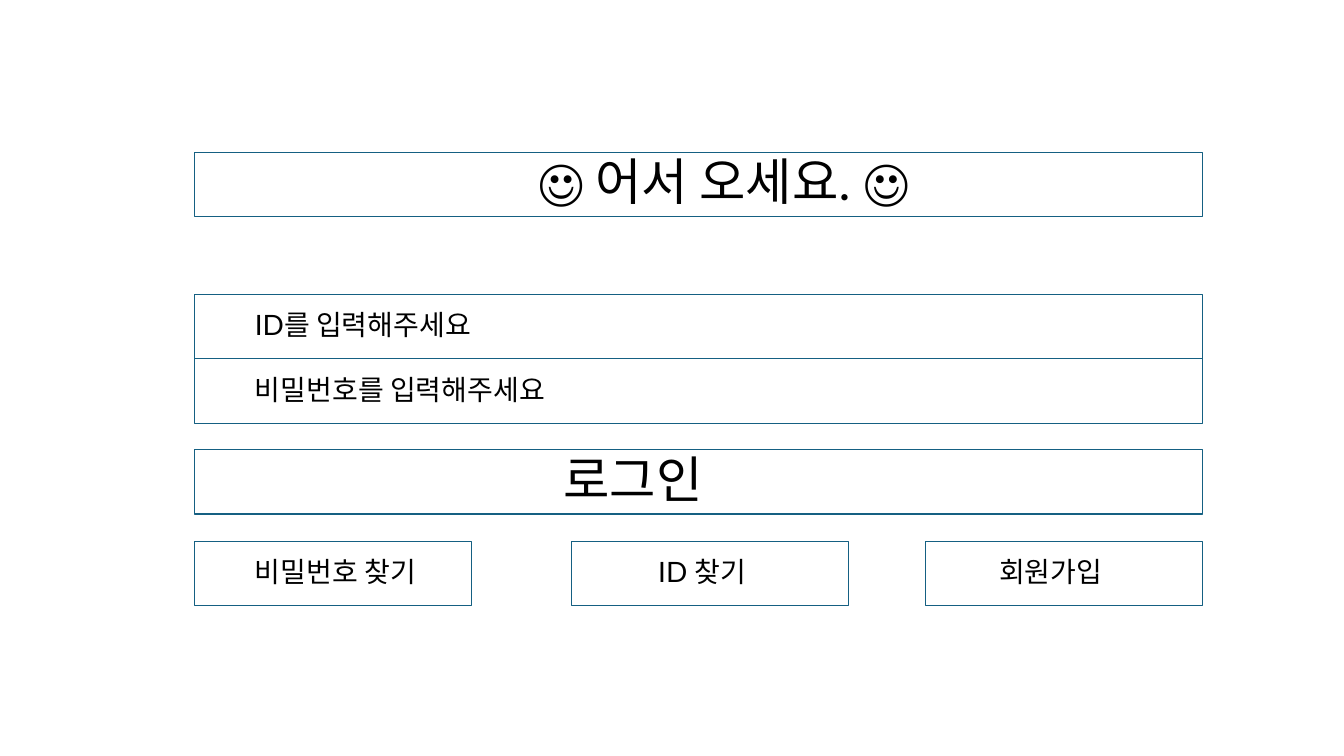
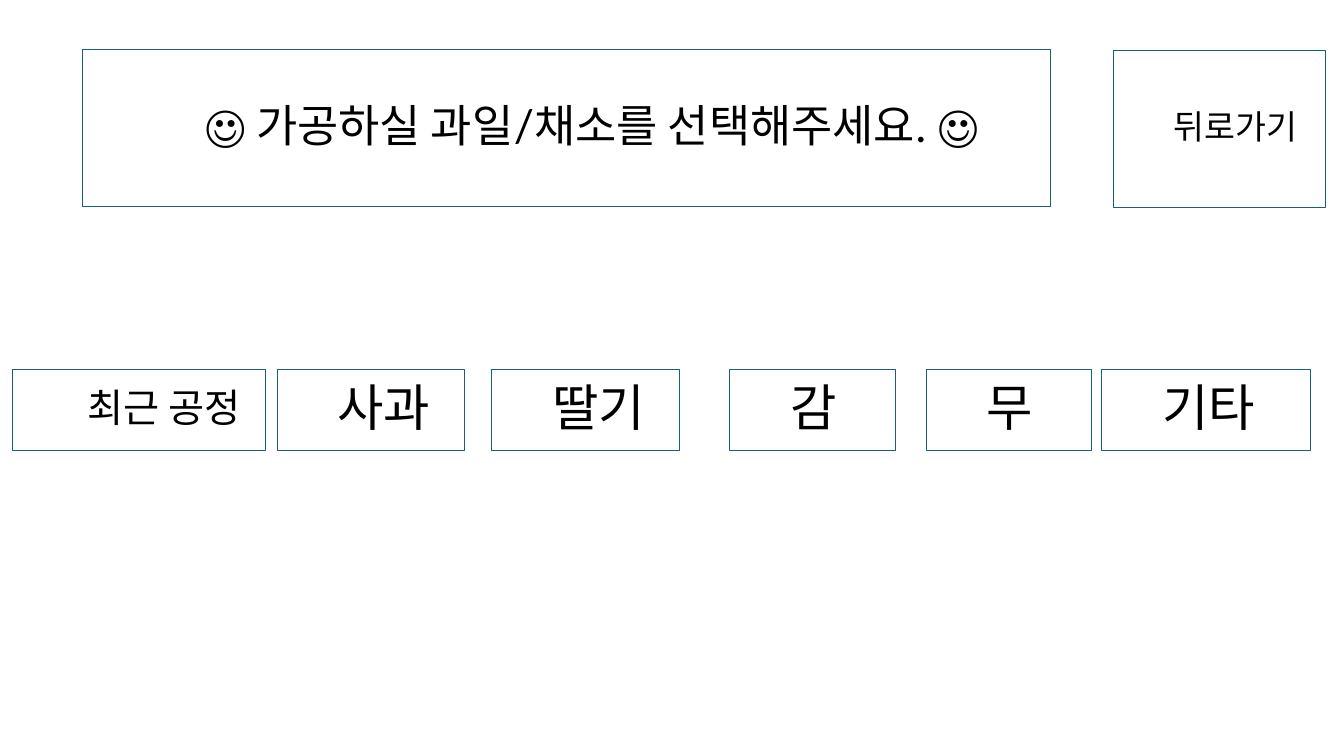
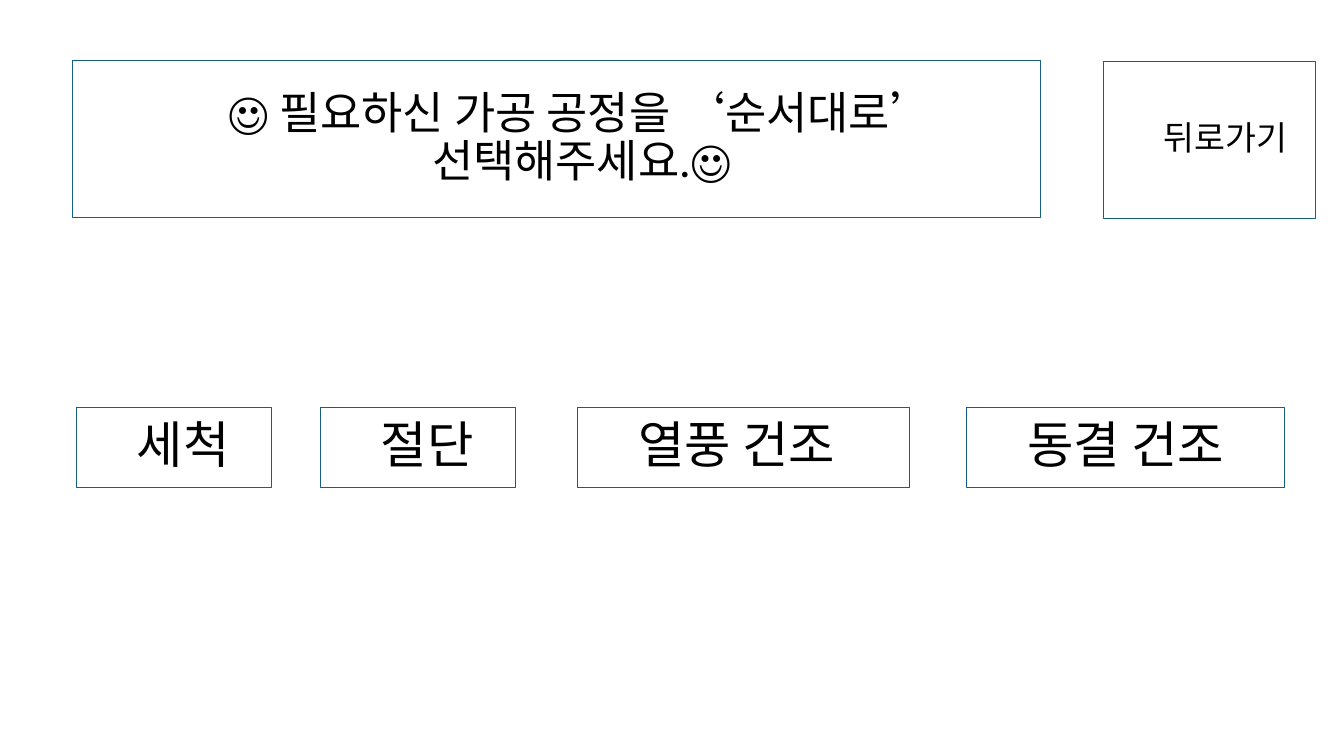
from dataclasses import dataclass

from pptx import Presentation
from pptx.dml.color import RGBColor
from pptx.enum import shapes, text
from pptx.oxml import ns, xmlchemy
from pptx.util import Inches, Pt


@dataclass(frozen=True)
class Theme:
    line: RGBColor = RGBColor(0x15, 0x60, 0x82)
    ink: RGBColor = RGBColor(0, 0, 0)
    latin: str = "Lato"
    korean: str = "Noto Sans CJK KR"
    field: int = 20
    back: int = 24
    recent: int = 28
    prompt: int = 32
    button: int = 36
    line_width: float = 0.75
    indent: float = 0.5


THEME = Theme()
CENTER = text.PP_ALIGN.CENTER
LEFT = text.PP_ALIGN.LEFT


def write(tf, content, size=THEME.button, align=LEFT, indent=THEME.indent):
    tf.word_wrap = True
    tf.vertical_anchor = text.MSO_ANCHOR.MIDDLE
    p = tf.paragraphs[0]
    p.alignment = align
    p.line_spacing = 0.9
    p.space_before = Pt(5)
    pPr = p._p.get_or_add_pPr()
    pPr.set("marL", str(Inches(indent)))
    pPr.set("indent", "0")
    r = p.add_run()
    r.text = content
    r.font.size = Pt(size)
    r.font.name = THEME.latin
    r.font.color.rgb = THEME.ink
    ea = xmlchemy.OxmlElement("a:ea")
    ea.set("typeface", THEME.korean)
    r._r.rPr.find(ns.qn("a:latin")).addnext(ea)


class Deck:
    def __init__(self, theme):
        self.theme = theme
        self.prs = Presentation()
        self.prs.slide_width = Inches(13.33)
        self.prs.slide_height = Inches(7.5)
        self.s = None

    def new_slide(self):
        self.s = self.prs.slides.add_slide(self.prs.slide_layouts[6])

    def box(self, x, y, w, h, content, **fmt):
        sp = self.s.shapes.add_shape(
            shapes.MSO_SHAPE.RECTANGLE, Inches(x), Inches(y), Inches(w), Inches(h))
        sp.shadow.inherit = False
        sp.fill.background()
        sp.line.color.rgb = self.theme.line
        sp.line.width = Pt(self.theme.line_width)
        write(sp.text_frame, content, **fmt)

    def header(self, x, y, prompt):
        self.box(x, y, 9.6, 1.56, prompt, size=self.theme.prompt, align=CENTER)
        self.box(x + 10.22, y + 0.01, 2.11, 1.56, "뒤로가기", size=self.theme.back)

    def button_row(self, y, buttons):
        for x, w, label in buttons:
            self.box(x, y, w, 0.8, label)


def login_slide(deck):
    deck.new_slide()
    x, w, h = 1.93, 10, 0.64
    small = deck.theme.field
    deck.box(x, 1.51, w, h, "☺ 어서 오세요. ☺", align=CENTER)
    for i, label in enumerate(("ID를 입력해주세요", "비밀번호를 입력해주세요")):
        deck.box(x, 2.92 + i * h, w, h, label, size=small)
    deck.box(x, 4.46, w, h, "로그인", indent=3.56)
    for left, label, indent in (
        (x, "비밀번호 찾기", deck.theme.indent),
        (5.67, "ID 찾기", 0.76),
        (9.18, "회원가입", 0.63),
    ):
        deck.box(left, 5.37, 2.75, h, label, size=small, indent=indent)


def produce_slide(deck):
    deck.new_slide()
    deck.header(0.82, 0.49, "☺ 가공하실 과일/채소를 선택해주세요. ☺")
    y = 3.67
    deck.box(0.12, y, 2.51, 0.8, "최근 공정", size=deck.theme.recent, align=CENTER)
    deck.button_row(y, (
        (2.75, 1.86, "사과"),
        (4.88, 1.86, "딸기"),
        (7.24, 1.64, "감"),
        (9.19, 1.64, "무"),
        (10.93, 2.07, "기타"),
    ))


def process_slide(deck):
    deck.new_slide()
    deck.header(0.72, 0.6, "☺ 필요하신 가공 공정을 ‘순서대로’ 선택해주세요.☺")
    deck.button_row(4.04, (
        (0.76, 1.93, "세척"),
        (3.18, 1.93, "절단"),
        (5.73, 3.29, "열풍 건조"),
        (9.59, 3.15, "동결 건조"),
    ))


def main():
    deck = Deck(THEME)
    login_slide(deck)
    produce_slide(deck)
    process_slide(deck)
    deck.prs.save("out.pptx")


if __name__ == "__main__":
    main()
